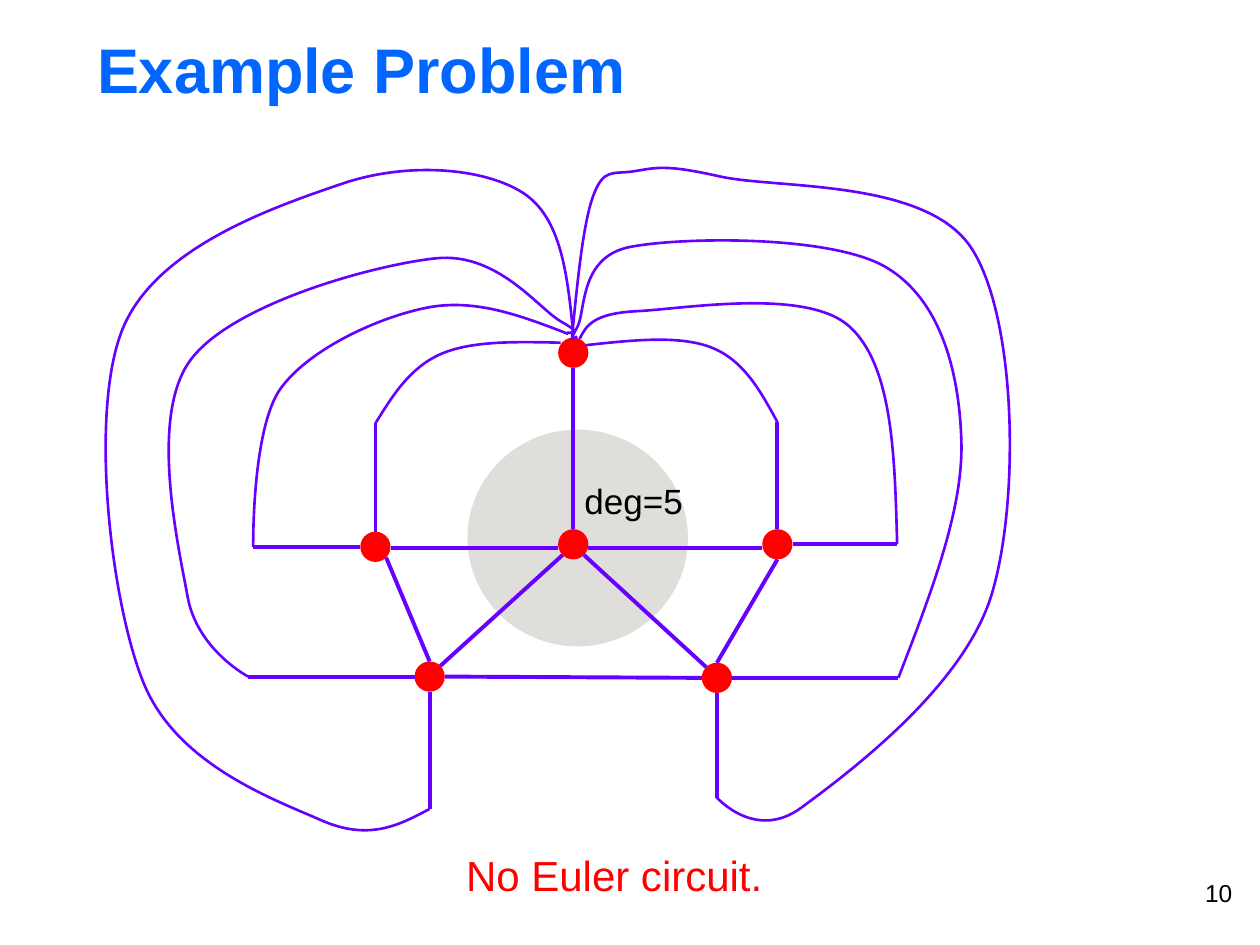
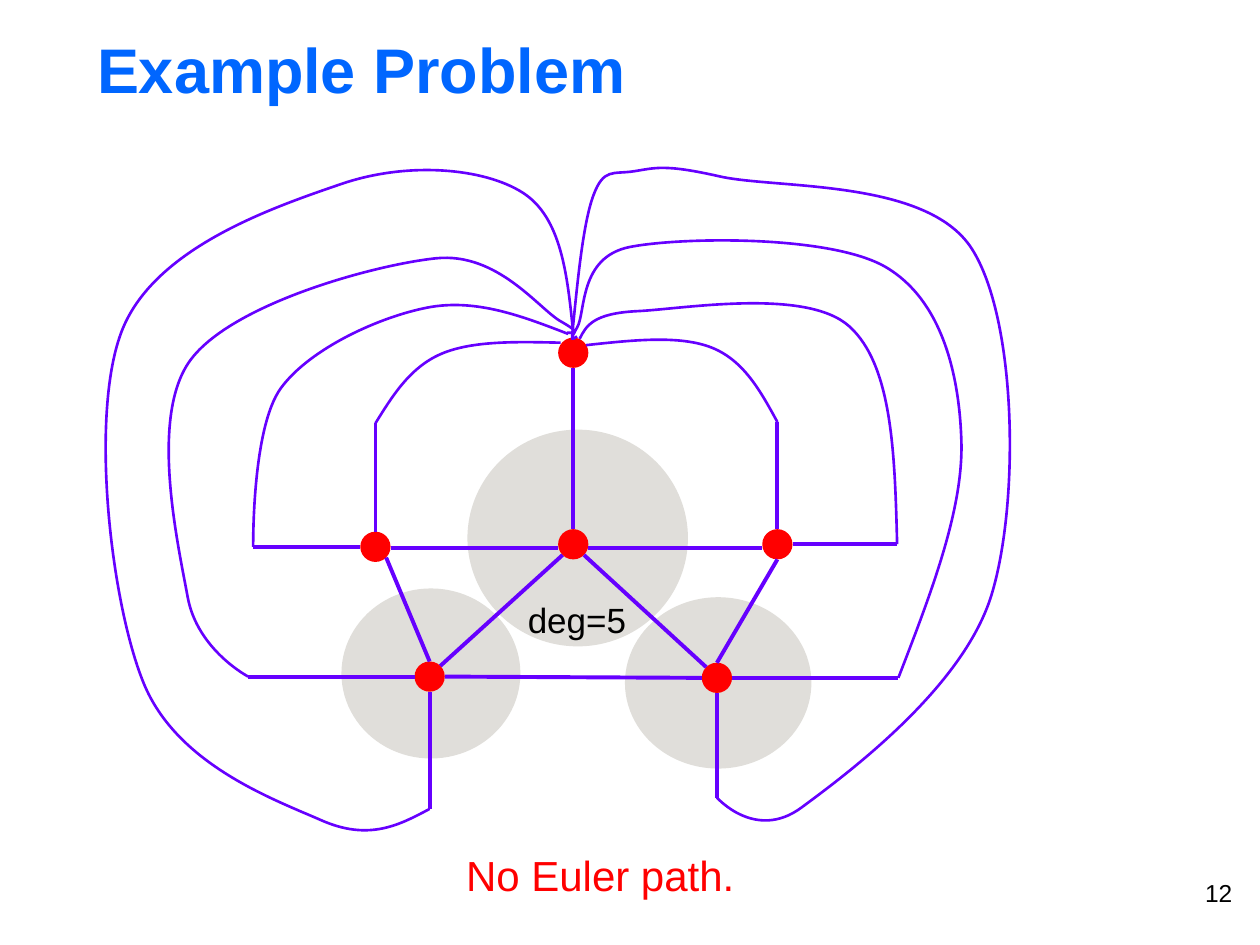
"""Build two slides on Euler circuits and paths in a planar graph."""
from dataclasses import dataclass

from lxml import etree
from pptx import Presentation
from pptx import util as u
from pptx.dml import color
from pptx.enum import shapes, text
from pptx.oxml import ns


@dataclass(frozen=True)
class Theme:
    """Colours, font and sizes shared by the slides."""
    title: str = "0066FF"
    edge: str = "6600FF"
    node: str = "FF0000"
    halo: str = "E0DEDA"
    ink: str = "000000"
    font: str = "Arial"
    head: int = 36
    note: int = 24
    label: int = 20
    page: int = 14
    thick: float = 2.25
    thin: float = 1.5


THEME = Theme()
RADIUS = 0.12
LEVEL = 4.35
NODES = {
    "west": (2.98, 4.34), "sw": (3.41, 5.37), "hub": (4.55, 4.32),
    "east": (6.17, 4.32), "se": (5.69, 5.38), "top": (4.55, 2.8),
}
HUB = (3.71, 3.41, 1.75, 1.72)
LEFT = (2.71, 4.67, 1.42, 1.35)
RIGHT = (4.96, 4.74, 1.48, 1.36)

EDGES = [
    ("sw", "ne", "hub", "sw"), ("sw", "n", "west", "se"),
    ("sw", "e", "se", "w"), ("se", "n", "east", "s"),
    ("se", "nw", "hub", "se"), ("top", "s", "hub", "n"),
]

LOOPS = [
    ("west", "n", 0.86, False, [(4.45, 2.72), (3.5, 2.81)]),
    ("east", "n", 0.85, False, [(4.65, 2.74), (5.65, 2.76)]),
    ("east", "e", 0.83, False, [(4.6, 2.69), (5.06, 2.47), (6.74, 2.59)]),
    ("se", "e", 1.32, False, [
        (4.58, 2.67), (4.58, 2.6), (5, 1.96), (7.03, 2.12), (7.63, 3.5)]),
    ("se", "s", 0.83, True, [
        (4.54, 2.67), (4.71, 1.55), (5.03, 1.36), (5.71, 1.4),
        (7.71, 1.97), (7.87, 4.72), (6.36, 6.41)]),
    ("west", "w", 0.85, True, [(4.51, 2.65), (3.4, 2.44), (2.23, 3.08)]),
    ("sw", "w", 1.32, True, [
        (4.5, 2.64), (4.45, 2.55), (3.46, 2.05), (1.51, 2.86),
        (1.49, 4.74)]),
    ("sw", "s", 0.93, False, [
        (4.55, 2.64), (4.15, 1.53), (2.71, 1.46), (0.97, 2.62),
        (1.14, 5.42), (2.55, 6.51)]),
]


def rgb(code):
    """Turn a hex code into a colour."""
    return color.RGBColor.from_string(code)


def write(shape, words, size, ink=THEME.ink, bold=False,
          align=text.PP_ALIGN.LEFT, anchor=text.MSO_ANCHOR.TOP, grow=False):
    """Fill a shape with one formatted paragraph."""
    frame = shape.text_frame
    frame.word_wrap = not grow
    fit = text.MSO_AUTO_SIZE
    frame.auto_size = fit.SHAPE_TO_FIT_TEXT if grow else fit.NONE
    frame.vertical_anchor = anchor
    para = frame.paragraphs[0]
    para.alignment = align
    run = para.add_run()
    run.text = words
    font = run.font
    font.name, font.size, font.bold = THEME.font, u.Pt(size), bold
    font.color.rgb = rgb(ink)


def label(slide, box, words, size, **style):
    """Add a text box."""
    shape = slide.shapes.add_textbox(*map(u.Inches, box))
    write(shape, words, size, **style)


def disc(slide, box, fill):
    """Add a plain filled ellipse."""
    shape = slide.shapes.add_shape(
        shapes.MSO_SHAPE.OVAL, *map(u.Inches, box))
    shape.shadow.inherit = False
    shape.fill.solid()
    shape.fill.fore_color.rgb = rgb(fill)
    shape.line.fill.background()


def dot(slide, name):
    """Add the disc of a node."""
    x, y = NODES[name]
    disc(slide, (x - RADIUS, y - RADIUS, 2 * RADIUS, 2 * RADIUS), THEME.node)


def rim(name, side, reach=0):
    """Find the point on a node's rim, or beyond it, by compass side."""
    way = complex(("e" in side) - ("w" in side), ("s" in side) - ("n" in side))
    return complex(*NODES[name]) + way / abs(way) * (RADIUS + reach)


def stroke(shape, width):
    """Give a line the edge colour and a width."""
    shape.line.color.rgb = rgb(THEME.edge)
    shape.line.width = u.Pt(width)


def edge(slide, start, end):
    """Add a straight edge."""
    ends = (start.real, start.imag, end.real, end.imag)
    line = slide.shapes.add_connector(
        shapes.MSO_CONNECTOR.STRAIGHT, *map(u.Inches, ends))
    stroke(line, THEME.thick)
    etree.SubElement(line.element.spPr, ns.qn("a:effectLst"))


def smooth(spots, pinch):
    """Join points by cubic segments with tangents along their neighbours."""
    bends = [(b - a) / 6 for a, b in zip(spots, spots[2:])]
    ins = [p - b for p, b in zip(spots[1:], bends)]
    outs = [p + b for p, b in zip(spots[1:], bends)]
    first = (spots[0] + ins[0]) / 2
    last = spots[-1] if pinch else (spots[-1] + outs[-1]) / 2
    return list(zip(spots, [first, *outs], [*ins, last], spots[1:]))


def bounds(curves, steps=20):
    """Measure the corners of the box around cubic segments."""
    spots = [a * (1 - t) ** 3 + 3 * b * t * (1 - t) ** 2
             + 3 * c * t * t * (1 - t) + d * t ** 3
             for a, b, c, d in curves
             for t in (i / steps for i in range(steps + 1))]
    wide = [p.real for p in spots]
    tall = [p.imag for p in spots]
    return complex(min(wide), min(tall)), complex(max(wide), max(tall))


def loop(slide, spots, pinch):
    """Add a curved edge through the points."""
    curves = smooth(spots, pinch)
    low, high = bounds(curves)
    build = slide.shapes.build_freeform(u.Inches(low.real), u.Inches(low.imag))
    build.add_line_segments(
        [(u.Inches(high.real), u.Inches(high.imag))], close=False)
    shape = build.convert_to_shape()
    shape.shadow.inherit = False
    shape.fill.background()
    stroke(shape, THEME.thin)
    route = next(shape.element.iter(ns.qn("a:path")))
    for node in list(route):
        route.remove(node)
    steps = [("a:moveTo", spots[:1])]
    steps += [("a:cubicBezTo", curve[1:]) for curve in curves]
    for tag, marks in steps:
        step = etree.SubElement(route, ns.qn(tag))
        for mark in marks:
            gap = mark - low
            etree.SubElement(step, ns.qn("a:pt"), x=str(u.Inches(gap.real)),
                             y=str(u.Inches(gap.imag)))


def graph(slide):
    """Draw the nodes, edges and loops."""
    for name in NODES:
        dot(slide, name)
    for one, side, two, face in EDGES:
        edge(slide, rim(one, side), rim(two, face))
    for name, side, face in (("west", "e", "w"), ("east", "w", "e")):
        edge(slide, complex(rim(name, side).real, LEVEL),
             complex(rim("hub", face).real, LEVEL))
    for name, side, reach, pinch, spots in LOOPS:
        end = rim(name, side, reach)
        edge(slide, rim(name, side), end)
        loop(slide, [*(complex(*p) for p in spots), end], pinch)


def page(deck, number, halos, degree, note, width):
    """Add one slide with its marked nodes, graph and verdict."""
    slide = deck.slides.add_slide(deck.slide_layouts[5])
    title = slide.shapes.title
    title.left, title.top = u.Inches(0.67), u.Inches(0.2)
    title.width, title.height = u.Inches(8.5), u.Inches(0.68)
    write(title, "Example Problem", THEME.head, ink=THEME.title, bold=True,
          anchor=text.MSO_ANCHOR.MIDDLE)
    for box in halos:
        disc(slide, box, THEME.halo)
    label(slide, (7.55, 6.92, 2.33, 0.52), number, THEME.page,
          align=text.PP_ALIGN.RIGHT)
    graph(slide)
    label(slide, (*degree, 0.99, 0.44), "deg=5", THEME.label, grow=True)
    label(slide, (3.6, 6.69, width, 0.5), note, THEME.note,
          ink=THEME.node, grow=True)


def main():
    """Build and save the deck."""
    deck = Presentation()
    deck.slide_width, deck.slide_height = u.Inches(10), u.Inches(7.5)
    page(deck, "10", [HUB], (4.54, 3.76), "No Euler circuit.", 2.58)
    page(deck, "12", [RIGHT, LEFT, HUB], (4.09, 4.7), "No Euler path.", 2.35)
    deck.save("out.pptx")


main()
